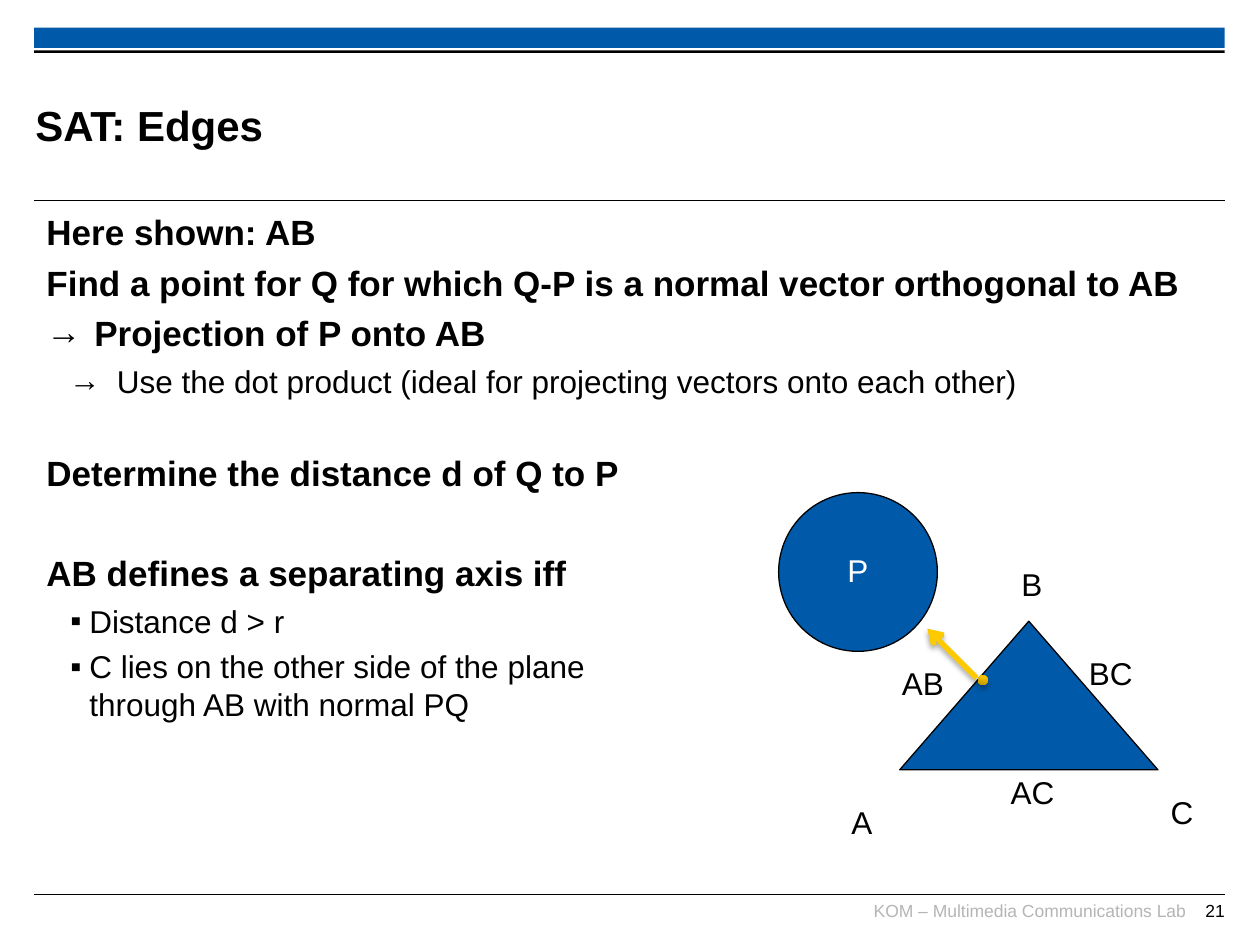
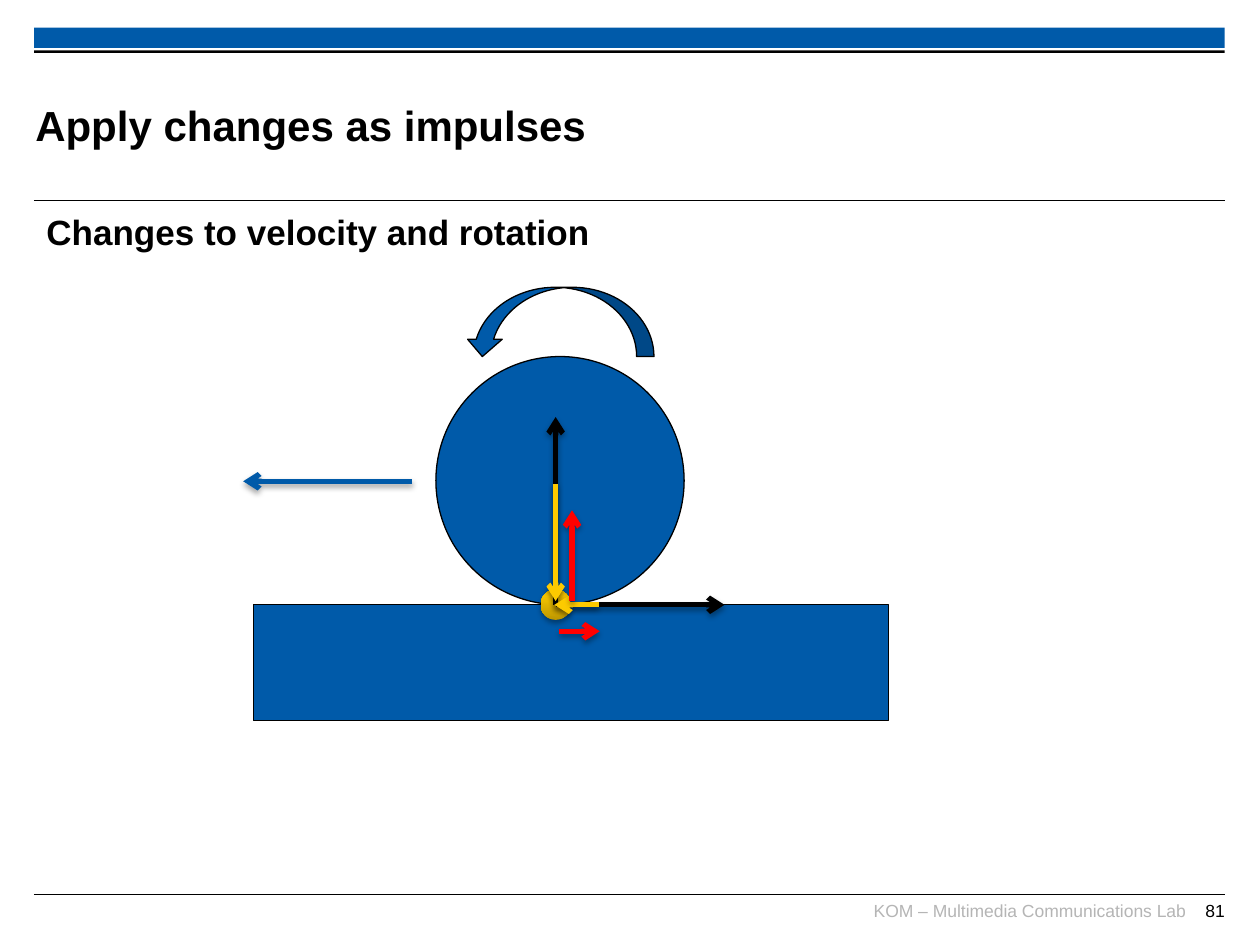
from lxml import etree
from pptx import Presentation
from pptx import util as u
from pptx.dml.color import RGBColor
from pptx.enum import shapes, text
from pptx.oxml import ns

BLUE = RGBColor(0x00, 0x5A, 0xA9)
BLACK = RGBColor(0, 0, 0)
WHITE = RGBColor(0xFF, 0xFF, 0xFF)
GRAY = RGBColor(0xB5, 0xB5, 0xB5)
YELLOW = RGBColor(0xFD, 0xCA, 0x00)
RED = RGBColor(0xFF, 0, 0)
DARK_GOLD = RGBColor(0xBD, 0x97, 0x00)
GOLD = RGBColor(0xF6, 0xC5, 0x00)
FONT = "Arial"
SHAPE = shapes.MSO_SHAPE
LEFT, CENTER, RIGHT = text.PP_ALIGN.LEFT, text.PP_ALIGN.CENTER, text.PP_ALIGN.RIGHT
MIDDLE = text.MSO_ANCHOR.MIDDLE

# Body lines: text, bullet, left margin, hanging indent, size, bold, space before
# Blue shapes: preset, box, rotation, text
# Arrows: start, end, colour
SLIDES = [
    dict(
        title="SAT: Edges", page="21",
        body=[
            ("Here shown: AB", None, 0, 0, 20, True, 0),
            ("Find a point for Q for which Q-P is a normal vector orthogonal to AB",
             None, 0, 0, 20, True, 5),
            ("Projection of P onto AB", "→", 0.38, 0.38, 20, True, 5),
            ("Use the dot product (ideal for projecting vectors onto each other)",
             "→", 0.56, 0.38, 18, False, 4.5),
            ("Determine the distance d of Q to P", None, 0, 0, 20, True, 30),
            ("AB defines a separating axis iff", None, 0, 0, 20, True, 33),
            ("Distance d > r", "▪", 0.34, 0.15, 18, False, 4.5),
            ("C lies on the other side of the plane\vthrough AB with normal PQ",
             "▪", 0.34, 0.15, 18, False, 4.5),
        ],
        blue=[
            (SHAPE.ISOSCELES_TRIANGLE, (7.14, 4.93, 2.05, 1.18), 0, ""),
            (SHAPE.OVAL, (6.18, 3.91, 1.26, 1.26), 0, "P"),
        ],
        labels=[("A", 6.65, 6.35, 0.38), ("B", 8, 4.46, 0.38), ("C", 9.19, 6.27, 0.38),
                ("AC", 7.91, 6.11, 0.57), ("BC", 8.54, 5.17, 0.55), ("AB", 7.05, 5.25, 0.55)],
        dot=(7.76, 5.36, 0.08),
        arrows=[((7.75, 5.38), (7.36, 4.99), YELLOW)],
    ),
    dict(
        title="Apply changes as impulses", page="81",
        body=[("Changes to velocity and rotation", None, 0, 0, 20, True, 0)],
        blue=[
            (SHAPE.RECTANGLE, (2.01, 4.8, 5.04, 0.92), 0, ""),
            (SHAPE.OVAL, (3.46, 2.83, 1.97, 1.97), 0, ""),
            (SHAPE.CURVED_UP_ARROW, (3.69, 2.28, 1.5, 0.55), 180, ""),
        ],
        labels=[],
        dot=(4.29, 4.68, 0.24),
        arrows=[
            ((4.41, 4.8), (4.41, 3.31), BLACK),
            ((4.41, 4.8), (5.75, 4.8), BLACK),
            ((3.27, 3.82), (1.93, 3.82), BLUE),
            ((4.41, 3.84), (4.41, 4.77), YELLOW),
            ((4.75, 4.8), (4.4, 4.8), YELLOW),
            ((4.54, 4.77), (4.54, 4.05), RED),
            ((4.44, 5.01), (4.76, 5.01), RED),
        ],
    ),
]


def add_text(s, box, words, size, color=BLACK, align=LEFT, bold=False, inset=0.0):
    """Add a one-paragraph text box; return its text frame."""
    tf = s.shapes.add_textbox(*map(u.Inches, box)).text_frame
    tf.word_wrap = True
    tf.margin_left = tf.margin_right = u.Inches(inset)
    tf.margin_top = tf.margin_bottom = u.Inches(inset / 2)
    p = tf.paragraphs[0]
    p.text = words
    p.alignment = align
    f = p.runs[0].font
    f.name, f.size, f.bold, f.color.rgb = FONT, u.Pt(size), bold, color
    return tf


def set_effects(sp, shadow):
    """Replace inherited effects with none, or with a soft shadow below."""
    effects = etree.SubElement(sp._element.spPr, ns.qn("a:effectLst"))
    if shadow:
        outer = etree.SubElement(effects, ns.qn("a:outerShdw"), blurRad="40000",
                                 dist="23000", dir="5400000", rotWithShape="0")
        clr = etree.SubElement(outer, ns.qn("a:srgbClr"), val="000000")
        etree.SubElement(clr, ns.qn("a:alpha"), val="35000")


prs = Presentation()
prs.slide_width, prs.slide_height = u.Inches(10), u.Inches(7.5)

for content in SLIDES:
    s = prs.slides.add_slide(prs.slide_layouts[6])

    # Bands, rules and footer
    for top, height, color in [(0.22, 0.16, BLUE), (0.4, 0.02, BLACK)]:
        sp = s.shapes.add_shape(SHAPE.RECTANGLE, *map(u.Inches, (0.27, top, 9.45, height)))
        sp.fill.solid()
        sp.fill.fore_color.rgb = color
        sp.line.fill.background()
        sp.shadow.inherit = False
    for y in (1.59, 7.1):
        rule = s.shapes.add_connector(shapes.MSO_CONNECTOR.STRAIGHT,
                                      *map(u.Inches, (0.27, y, 9.72, y)))
        rule.line.color.rgb = BLACK
        rule.line.width = u.Pt(0.6)
        set_effects(rule, shadow=False)
    add_text(s, (6.41, 7.14, 3, 0.25), "KOM – Multimedia Communications Lab", 10, GRAY, RIGHT)
    add_text(s, (9.29, 7.14, 0.43, 0.24), content["page"], 10, align=RIGHT)

    # Title and body
    tf = add_text(s, (0.28, 0.53, 7.52, 0.92), content["title"], 24, bold=True)
    tf.vertical_anchor = MIDDLE
    tf = s.shapes.add_textbox(*map(u.Inches, (0.27, 1.62, 9.45, 5.43))).text_frame
    tf.word_wrap = True
    for i, (words, bullet, margin, hang, size, bold, before) in enumerate(content["body"]):
        p = tf.add_paragraph() if i else tf.paragraphs[0]
        p.text = words
        if before:
            p.space_before = u.Pt(before)
        if bullet:
            pPr = p._p.get_or_add_pPr()
            pPr.set("marL", str(u.Inches(margin)))
            pPr.set("indent", str(-u.Inches(hang)))
            etree.SubElement(pPr, ns.qn("a:buFont"), typeface=FONT)
            etree.SubElement(pPr, ns.qn("a:buChar"), char=bullet)
        for r in p.runs:
            r.font.name, r.font.size, r.font.bold = FONT, u.Pt(size), bold
            r.font.color.rgb = BLACK

    # Diagram
    for preset, box, rotation, words in content["blue"]:
        sp = s.shapes.add_shape(preset, *map(u.Inches, box))
        sp.rotation = rotation
        sp.fill.solid()
        sp.fill.fore_color.rgb = BLUE
        sp.line.color.rgb = BLACK
        sp.line.width = u.Pt(0.75)
        sp.shadow.inherit = False
        if words:
            tf = sp.text_frame
            tf.text = words
            tf.word_wrap = False
            tf.vertical_anchor = MIDDLE
            p = tf.paragraphs[0]
            p.alignment, p.line_spacing = CENTER, 0.93
            f = p.runs[0].font
            f.name, f.size, f.color.rgb = FONT, u.Pt(18), WHITE
    for words, x, y, width in content["labels"]:
        tf = add_text(s, (x, y, width, 0.39), words, 18, align=CENTER, inset=0.1)
        tf.word_wrap = False
        tf.paragraphs[0].line_spacing = 0.93

    x, y, size = content["dot"]
    dot = s.shapes.add_shape(SHAPE.OVAL, *map(u.Inches, (x, y, size, size)))
    dot.fill.gradient()
    dot.fill.gradient_angle = 90
    for stop, position, color in zip(dot.fill.gradient_stops, (0, 0.8), (DARK_GOLD, GOLD)):
        stop.position = position
        stop.color.rgb = color
    dot.line.fill.background()
    set_effects(dot, shadow=True)

    for start, end, color in content["arrows"]:
        arrow = s.shapes.add_connector(shapes.MSO_CONNECTOR.STRAIGHT,
                                       *map(u.Inches, start + end))
        arrow.line.color.rgb = color
        arrow.line.width = u.Pt(3)
        etree.SubElement(arrow.line._get_or_add_ln(), ns.qn("a:tailEnd"), type="arrow")
        set_effects(arrow, shadow=True)

prs.save("out.pptx")
